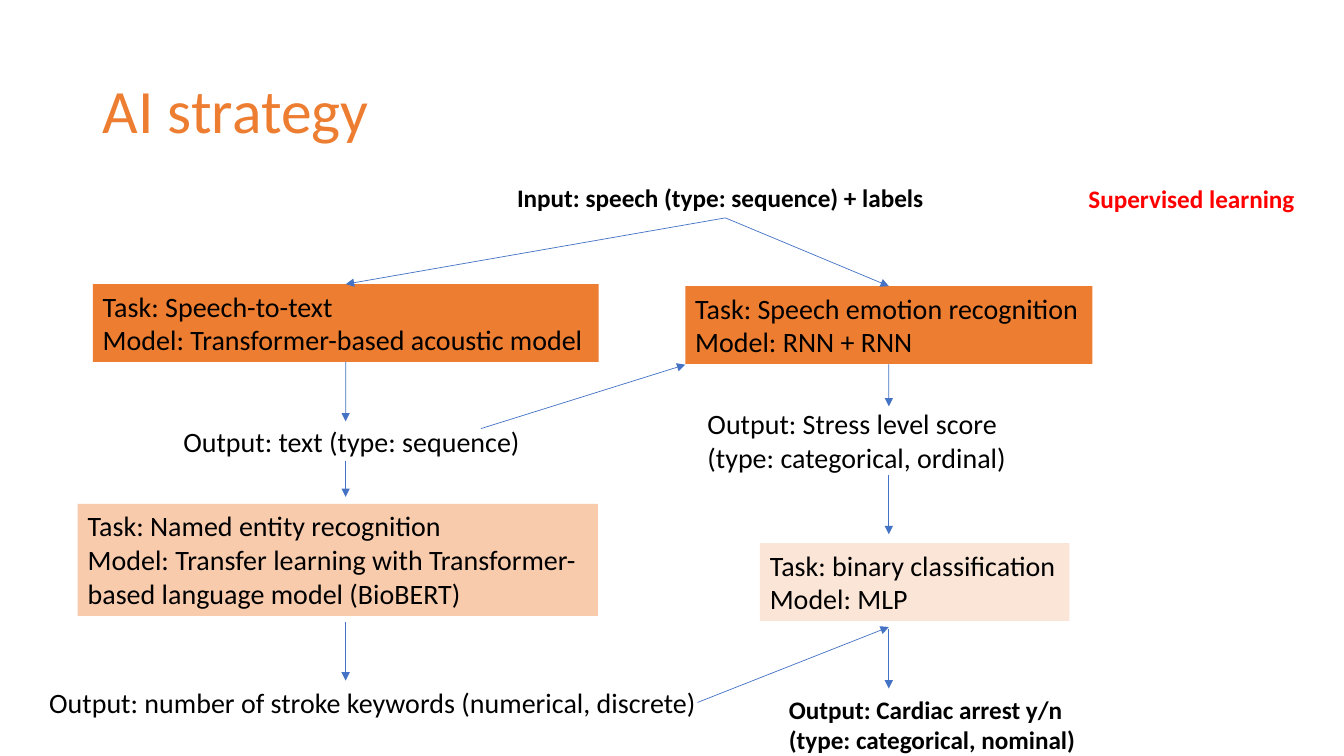
"""Build the AI strategy flow chart slide."""
import dataclasses

import lxml.etree
import pptx
import pptx.dml.color
import pptx.enum.shapes
import pptx.enum.text
import pptx.oxml.ns
import pptx.shapes.base
import pptx.slide
import pptx.util

Cm = pptx.util.Cm
COLORS = {
    "orange": "ED7D31",
    "peach": "F8CBAD",
    "cream": "FBE5D6",
    "black": "000000",
    "red": "FF0000",
    "blue": "4472C4",
}
LEFT, RIGHT = 8.71, 22.4
TOP, BOTTOM = 0, 2


@dataclasses.dataclass
class Box:
    name: str
    text: str
    left: float
    top: float
    width: float
    height: float
    fill: str = ""
    color: str = "black"
    size: int = 20
    bold: bool = False


@dataclasses.dataclass
class Arrow:
    x1: float
    y1: float
    x2: float
    y2: float
    source: str = ""
    target: str = ""


BOXES = [
    Box("input", "Input: speech (type: sequence) + labels",
        12.78, 4.47, 11, 1.02, size=18, bold=True),
    Box("method", "Supervised learning",
        27.18, 4.5, 5.74, 1.02, color="red", size=18, bold=True),
    Box("speech", "Task: Speech-to-text\nModel: Transformer-based acoustic model",
        2.34, 7.16, 12.75, 1.96, "orange"),
    Box("text", "Output: text (type: sequence)", 4.37, 10.57, 9.09, 1.12),
    Box("entity", "Task: Named entity recognition\n"
        "Model: Transfer learning with Transformer-\nbased language model (BioBERT)",
        1.96, 12.7, 13.11, 2.82, "peach"),
    Box("keyword", "Output: number of stroke keywords (numerical, discrete)",
        0.99, 17.15, 16.97, 1.12),
    Box("mood", "Task: Speech emotion recognition\nModel: RNN + RNN",
        17.27, 7.21, 10.26, 1.96, "orange"),
    Box("stress", "Output: Stress level score\n(type: categorical, ordinal)",
        17.58, 10.13, 8.1, 1.96),
    Box("class", "Task: binary classification\nModel: MLP",
        19.15, 13.69, 7.8, 1.96, "cream"),
    Box("arrest", "Output: Cardiac arrest y/n\n(type: categorical, nominal)",
        19.63, 17.37, 7.77, 1.8, size=18, bold=True),
]

ARROWS = [
    Arrow(18.28, 5.49, LEFT, 7.16, "input", "speech"),
    Arrow(18.28, 5.49, RIGHT, 7.21, "input", "mood"),
    Arrow(LEFT, 9.12, LEFT, 10.62, "speech"),
    Arrow(LEFT, 11.61, LEFT, 12.52),
    Arrow(LEFT, 15.67, LEFT, 17.15),
    Arrow(RIGHT, 9.17, RIGHT, 10.24, "mood"),
    Arrow(RIGHT, 11.96, RIGHT, 13.46),
    Arrow(RIGHT, 15.85, RIGHT, 17.35),
    Arrow(12.12, 10.8, 17.27, 9.19),
    Arrow(17.58, 17.7, RIGHT, 15.8),
]


def get_color(name: str) -> pptx.dml.color.RGBColor:
    return pptx.dml.color.RGBColor.from_string(COLORS[name])


def draw_title(slide: pptx.slide.Slide) -> None:
    frame = slide.shapes.add_textbox(Cm(2.34), Cm(1.02), Cm(29.21), Cm(3.68)).text_frame
    frame.word_wrap = True
    frame.vertical_anchor = pptx.enum.text.MSO_ANCHOR.MIDDLE
    frame.text = "AI strategy"
    title = frame.paragraphs[0]
    title.line_spacing = 0.9
    title.font.name = "Calibri"
    title.font.size = pptx.util.Pt(44)
    title.font.color.rgb = get_color("orange")


def draw_box(slide: pptx.slide.Slide, box: Box) -> pptx.shapes.base.BaseShape:
    place = Cm(box.left), Cm(box.top), Cm(box.width), Cm(box.height)
    if box.fill:
        shape = slide.shapes.add_shape(pptx.enum.shapes.MSO_SHAPE.RECTANGLE, *place)
        shape.shadow.inherit = False
        shape.fill.solid()
        shape.fill.fore_color.rgb = get_color(box.fill)
        shape.line.fill.background()
    else:
        shape = slide.shapes.add_textbox(*place)
    frame = shape.text_frame
    frame.text = box.text
    frame.word_wrap = False
    frame.auto_size = pptx.enum.text.MSO_AUTO_SIZE.SHAPE_TO_FIT_TEXT
    frame.vertical_anchor = pptx.enum.text.MSO_ANCHOR.TOP
    for line in frame.paragraphs:
        line.alignment = pptx.enum.text.PP_ALIGN.LEFT
        line.font.name = "Calibri"
        line.font.size = pptx.util.Pt(box.size)
        line.font.bold = box.bold
        line.font.color.rgb = get_color(box.color)
    return shape


def draw_arrow(
    slide: pptx.slide.Slide,
    arrow: Arrow,
    shapes: dict[str, pptx.shapes.base.BaseShape],
) -> None:
    link = slide.shapes.add_connector(
        pptx.enum.shapes.MSO_CONNECTOR.STRAIGHT,
        Cm(arrow.x1), Cm(arrow.y1), Cm(arrow.x2), Cm(arrow.y2),
    )
    if arrow.source:
        link.begin_connect(shapes[arrow.source], BOTTOM)
    if arrow.target:
        link.end_connect(shapes[arrow.target], TOP)
    link.line.width = pptx.util.Pt(0.5)
    link.line.color.rgb = get_color("blue")
    qn = pptx.oxml.ns.qn
    props = link._element.spPr
    lxml.etree.SubElement(props.find(qn("a:ln")), qn("a:tailEnd"), type="triangle")
    lxml.etree.SubElement(props, qn("a:effectLst"))


def main() -> None:
    deck = pptx.Presentation()
    deck.slide_width, deck.slide_height = Cm(33.87), Cm(19.05)
    slide = deck.slides.add_slide(deck.slide_layouts[6])
    draw_title(slide)
    shapes = {box.name: draw_box(slide, box) for box in BOXES}
    for arrow in ARROWS:
        draw_arrow(slide, arrow, shapes)
    deck.save("out.pptx")


if __name__ == "__main__":
    main()
